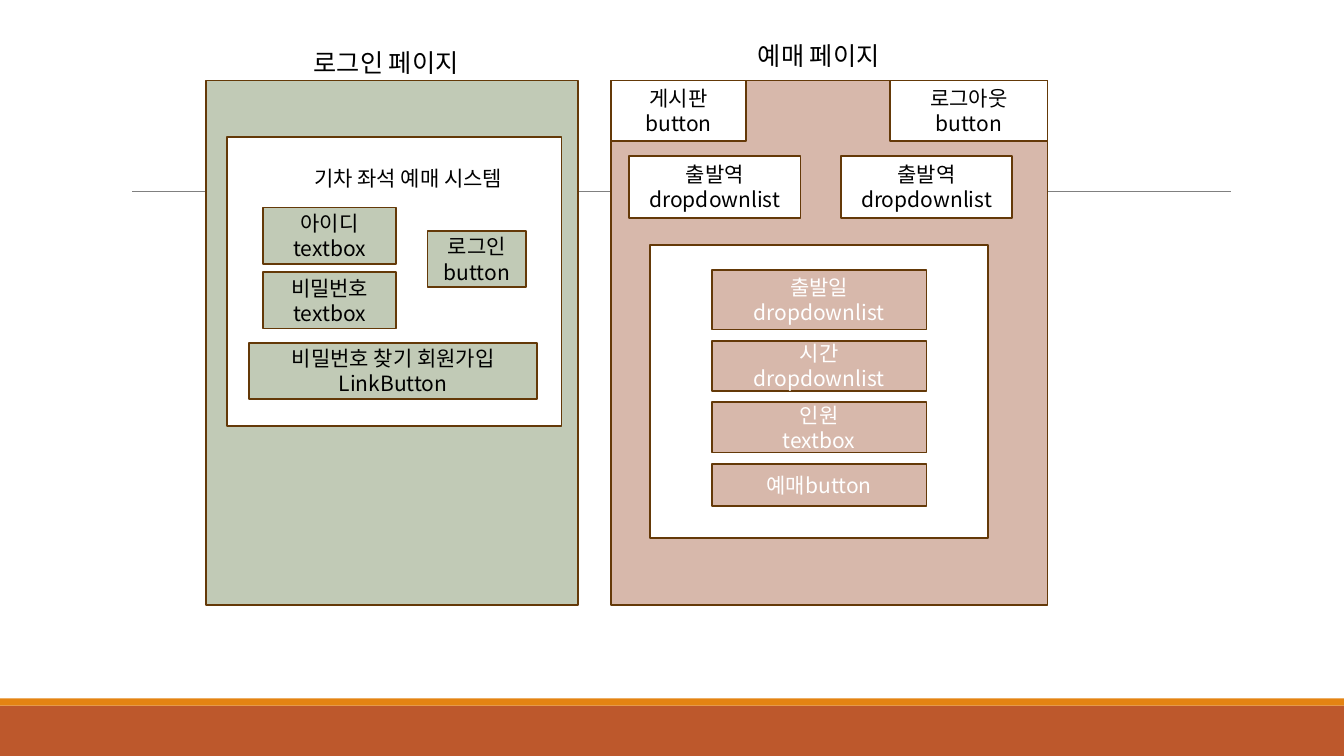
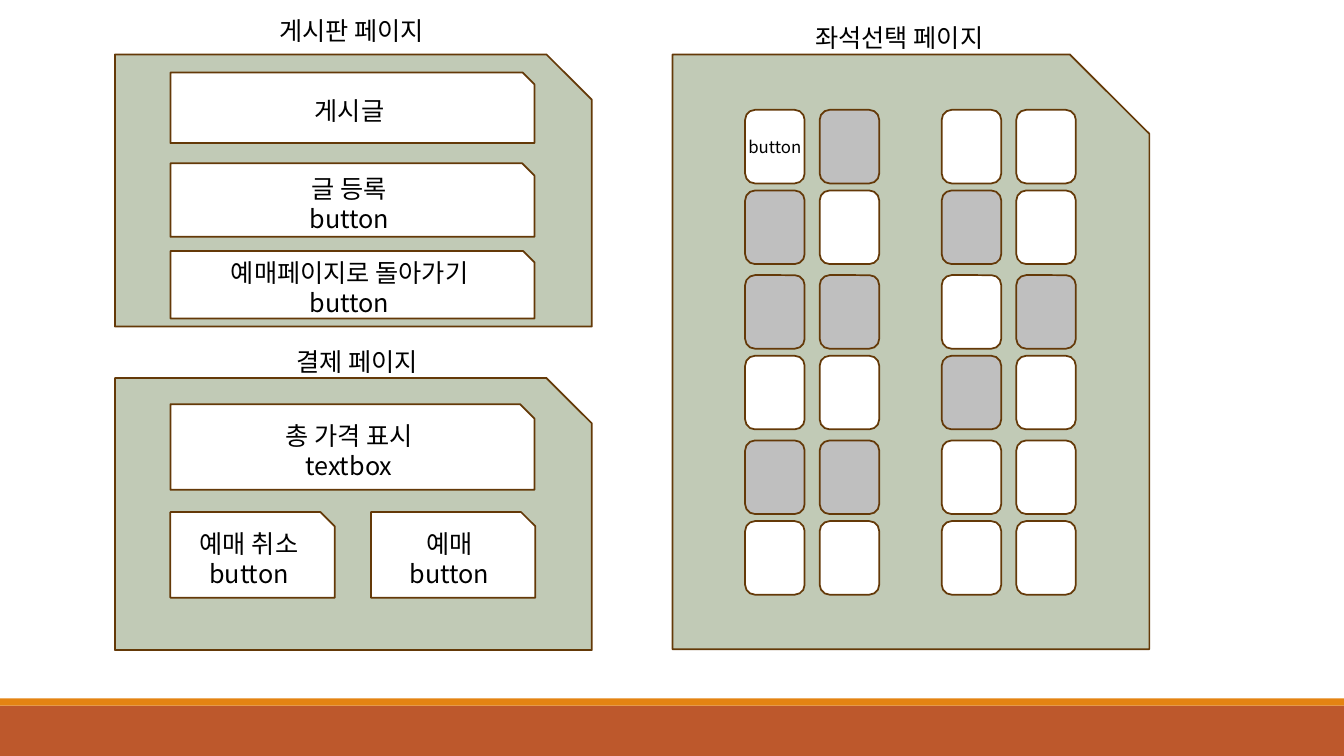
import dataclasses

import pptx
import pptx.dml.color
import pptx.enum.shapes
import pptx.enum.text
import pptx.util
from pptx.util import Inches

FONT = "Noto Sans CJK KR"
BLACK, WHITE, GRAY = "000000", "FFFFFF", "BFBFBF"
GREEN, PINK, BROWN = "C1CAB6", "D7B8AB", "643908"
RUST, ORANGE, RULE_GRAY = "BD582C", "E48312", "808080"
LINE_HEIGHT = 1.2
SLIDE_WIDTH, SLIDE_HEIGHT = 13.33, 7.5

SHAPES = pptx.enum.shapes.MSO_SHAPE
RECTANGLE, SNIPPED, ROUNDED = SHAPES.RECTANGLE, SHAPES.SNIP_1_RECTANGLE, SHAPES.ROUNDED_RECTANGLE
CENTER, LEFT = pptx.enum.text.PP_ALIGN.CENTER, pptx.enum.text.PP_ALIGN.LEFT


@dataclasses.dataclass
class Box:
    left: float
    top: float
    width: float
    height: float

    def inside(self, left, top, width, height):
        """Return a box whose offsets count from this one's corner."""
        return Box(self.left + left, self.top + top, width, height)

    def lengths(self):
        return [Inches(value) for value in (self.left, self.top, self.width, self.height)]


def rgb(color):
    return pptx.dml.color.RGBColor.from_string(color)


def write(frame, text, size, color=BLACK, align=CENTER):
    """Put each line of text in a paragraph of its own."""
    for index, line in enumerate(text.split("\n")):
        paragraph = frame.add_paragraph() if index else frame.paragraphs[0]
        paragraph.text = line
        paragraph.alignment = align
        paragraph.line_spacing = pptx.util.Pt(size * LINE_HEIGHT)
        paragraph.font.name = FONT
        paragraph.font.size = pptx.util.Pt(size)
        paragraph.font.color.rgb = rgb(color)


def add_box(slide, box, fill, text="", size=15, color=BLACK, kind=RECTANGLE, line=BROWN):
    shape = slide.shapes.add_shape(kind, *box.lengths())
    shape.shadow.inherit = False
    shape.fill.solid()
    shape.fill.fore_color.rgb = rgb(fill)
    if line:
        shape.line.color.rgb = rgb(line)
        shape.line.width = pptx.util.Pt(1.25)
    else:
        shape.line.fill.background()
    if text:
        frame = shape.text_frame
        frame.margin_left = frame.margin_right = 0
        frame.vertical_anchor = pptx.enum.text.MSO_ANCHOR.MIDDLE
        write(frame, text, size, color)


def add_label(slide, box, text, size=18, align=CENTER):
    frame = slide.shapes.add_textbox(*box.lengths()).text_frame
    frame.word_wrap = True
    write(frame, text, size, align=align)


def add_slide(presentation):
    """Add a blank slide with the two footer bands."""
    slide = presentation.slides.add_slide(presentation.slide_layouts[6])
    add_box(slide, Box(0, 7, SLIDE_WIDTH, 0.5), RUST, line=None)
    add_box(slide, Box(0, 6.93, SLIDE_WIDTH, 0.07), ORANGE, line=None)
    return slide


def add_rule(slide, left, right, top):
    rule = slide.shapes.add_connector(
        pptx.enum.shapes.MSO_CONNECTOR.STRAIGHT,
        Inches(left), Inches(top), Inches(right), Inches(top))
    rule.line.color.rgb = rgb(RULE_GRAY)
    rule.line.width = pptx.util.Pt(0.5)
    rule._element.spPr.append(
        pptx.oxml.parse_xml(
            '<a:effectLst xmlns:a="http://schemas.openxmlformats.org/drawingml/2006/main"/>'))


def login_page(slide, page):
    add_box(slide, page, GREEN)
    add_box(slide, page.inside(0.21, 0.56, 3.32, 2.87), WHITE)
    add_label(slide, page.inside(0.43, 0.79, 3.16, 0.35), "기차 좌석 예매 시스템", 15)
    controls = [
        (2.2, 1.49, 0.98, "로그인\nbutton"),
        (0.57, 1.26, 1.32, "아이디\ntextbox"),
        (0.57, 1.9, 1.32, "비밀번호\ntextbox"),
        (0.43, 2.6, 2.86, "비밀번호 찾기 회원가입\nLinkButton"),
    ]
    for left, top, width, text in controls:
        add_box(slide, page.inside(left, top, width, 0.56), GREEN, text)
    add_label(slide, page.inside(0.21, -0.38, 3.16, 0.4), "로그인 페이지")


def booking_page(slide, page):
    add_box(slide, page, PINK)
    add_box(slide, page.inside(page.width - 1.56, 0, 1.56, 0.6), WHITE, "로그아웃\nbutton")
    add_box(slide, page.inside(0, 0, 1.34, 0.6), WHITE, "게시판\nbutton")
    for left in (0.18, 2.28):
        add_box(slide, page.inside(left, 0.75, 1.7, 0.61), WHITE, "출발역\ndropdownlist")

    add_box(slide, page.inside(0.39, 1.63, 3.35, 2.91), WHITE)
    fields = [
        (0.59, "출발일\ndropdownlist"),
        (0.5, "시간\ndropdownlist"),
        (0.5, "인원\ntextbox"),
        (0.42, "예매button"),
    ]
    top = 1.88
    for height, text in fields:
        add_box(slide, page.inside(1, top, 2.13, height), PINK, text, color=WHITE)
        top += height + 0.11
    add_label(slide, page.inside(0.48, -0.45, 3.16, 0.4), "예매 페이지")


def snipped_page(slide, page, controls):
    """Draw a green page with white controls, each left, top, width, height, text."""
    add_box(slide, page, GREEN, kind=SNIPPED)
    for *place, text in controls:
        add_box(slide, page.inside(*place), WHITE, text, 18, kind=SNIPPED)


def board_page(slide, page):
    snipped_page(slide, page, [
        (0.55, 0.18, 3.61, 0.7, "게시글"),
        (0.55, 1.08, 3.61, 0.73, "글 등록\nbutton"),
        (0.55, 1.95, 3.61, 0.67, "예매페이지로 돌아가기\nbutton"),
    ])
    add_label(slide, page.inside(1.53, -0.44, 2.12, 0.4), "게시판 페이지", align=LEFT)


def payment_page(slide, page):
    snipped_page(slide, page, [
        (0.55, 0.26, 3.61, 0.85, "총 가격 표시\ntextbox"),
        (0.55, 1.33, 1.63, 0.85, "예매 취소\nbutton"),
        (2.54, 1.33, 1.63, 0.85, "예매\nbutton"),
    ])
    add_label(slide, page.inside(1.7, -0.36, 2.23, 0.4), "결제 페이지", align=LEFT)


def seat_page(slide, page):
    """Draw seats in blocks of two by two; X marks a taken seat."""
    snipped_page(slide, page, [])
    seat_rows = [".X..", "X.X.", "XX.X", "..X.", "XX..", "...."]
    for row, seats in enumerate(seat_rows):
        top = 0.55 + row // 2 * 1.64 + row % 2 * 0.8
        for column, seat in enumerate(seats):
            left = 0.72 + column // 2 * 1.95 + column % 2 * 0.74
            text = "button" if row == column == 0 else ""
            add_box(slide, page.inside(left, top, 0.59, 0.73),
                    GRAY if seat == "X" else WHITE, text, 12, kind=ROUNDED)
    add_label(slide, page.inside(0.67, -0.37, 3.16, 0.4), "좌석선택 페이지")


def main():
    presentation = pptx.Presentation()
    presentation.slide_width = Inches(SLIDE_WIDTH)
    presentation.slide_height = Inches(SLIDE_HEIGHT)

    slide = add_slide(presentation)
    add_rule(slide, 1.31, 12.21, 1.9)
    login_page(slide, Box(2.04, 0.8, 3.69, 5.2))
    booking_page(slide, Box(6.06, 0.8, 4.33, 5.2))

    slide = add_slide(presentation)
    board_page(slide, Box(1.14, 0.54, 4.73, 2.7))
    payment_page(slide, Box(1.14, 3.75, 4.73, 2.7))
    seat_page(slide, Box(6.67, 0.54, 4.73, 5.9))

    presentation.save("out.pptx")


if __name__ == "__main__":
    main()
